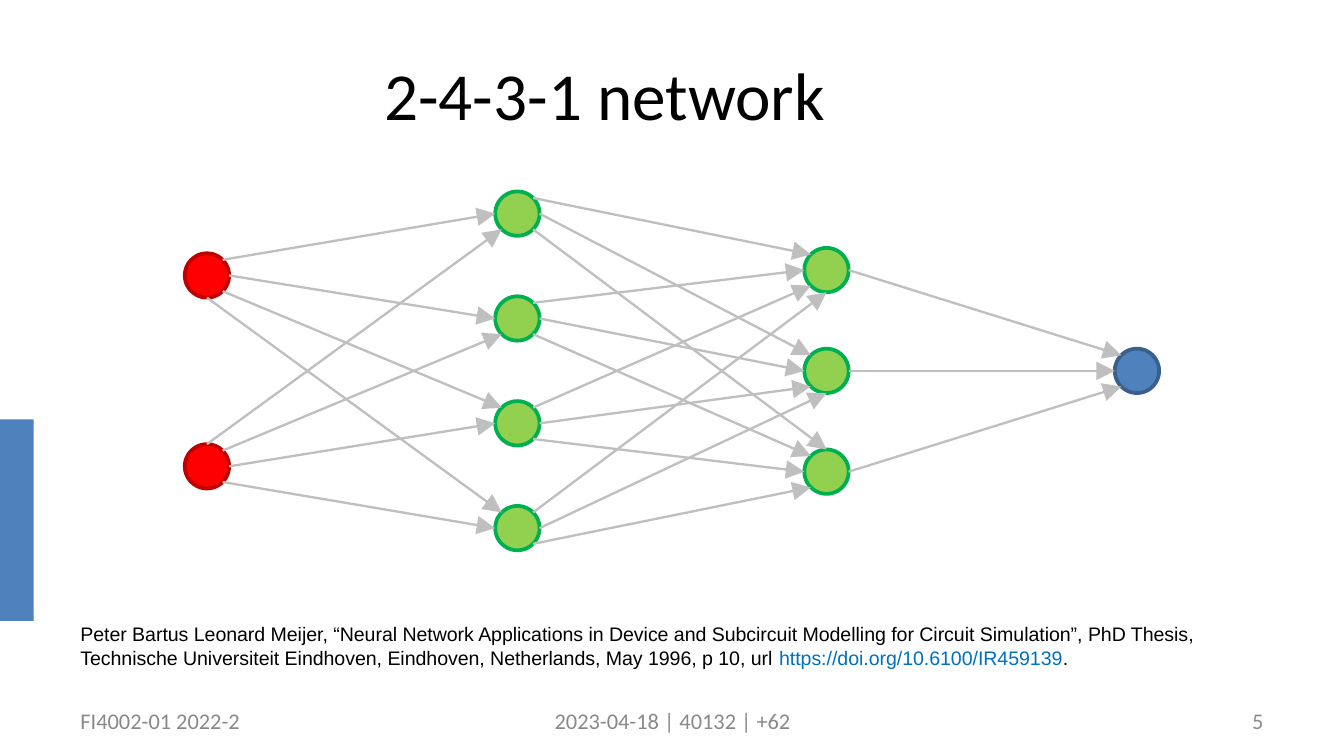
from dataclasses import dataclass
from math import sqrt

from lxml.etree import SubElement
from pptx import Presentation
from pptx.dml.color import RGBColor
from pptx.enum.shapes import MSO_CONNECTOR, MSO_SHAPE
from pptx.enum.text import MSO_ANCHOR, PP_ALIGN
from pptx.oxml.ns import qn
from pptx.util import Inches, Pt


@dataclass(frozen=True)
class Theme:
    heading_font: str = "Calibri"
    body_font: str = "Arial"
    title_size: float = 36
    footer_size: float = 12
    citation_size: float = 10.5
    text: str = "000000"
    footer: str = "898989"
    page: str = "8C8C8C"
    link: str = "0070C0"
    accent: str = "4F81BD"
    accent_line: str = "3A5F8C"
    input: str = "FF0000"
    input_line: str = "C00000"
    hidden: str = "92D050"
    hidden_line: str = "00B050"
    edge: str = "BFBFBF"
    node_width: float = 2
    edge_width: float = 1.25


@dataclass(frozen=True)
class Layer:
    x: float      # centre of the column
    count: int
    pitch: float  # distance between node centres
    fill: str
    line: str


@dataclass(frozen=True)
class Footer:
    text: str
    left: float
    width: float
    align: PP_ALIGN
    color: str


THEME = Theme()
SLIDE_WIDTH = 10
SLIDE_HEIGHT = SLIDE_WIDTH * 9 / 16
DIAMETER = 0.33
CENTER_Y = 2.76

LAYERS = [
    Layer(1.54, 2, 1.42, THEME.input, THEME.input_line),
    Layer(3.85, 4, 0.78, THEME.hidden, THEME.hidden_line),
    Layer(6.15, 3, 0.75, THEME.hidden, THEME.hidden_line),
    Layer(8.46, 1, 0, THEME.accent, THEME.accent_line),
]

# Compass ports on a node, as unit offsets from its centre
DIAG = sqrt(0.5)
PORTS = {
    "N": (0, -1), "S": (0, 1), "E": (1, 0), "W": (-1, 0),
    "NE": (DIAG, -DIAG), "SE": (DIAG, DIAG),
    "NW": (-DIAG, -DIAG), "SW": (-DIAG, DIAG),
}

# One table per pair of layers: row = source node, entry = target node
EDGES = [
    ["NE-W E-W SE-NW S-NW", "N-SW NE-SW E-W SE-W"],
    ["NE-NW E-NW SE-N", "NE-W E-W SE-NW", "NE-SW E-SW SE-W", "NE-S E-S SE-SW"],
    ["E-NW", "E-W", "E-SW"],
]

FOOTERS = [
    Footer("FI4002-01 2022-2", 0.5, 2.58, PP_ALIGN.LEFT, THEME.footer),
    Footer("2023-04-18 | 40132 | +62", 3.42, 3.17, PP_ALIGN.CENTER, THEME.footer),
    Footer("5", 7.17, 2.33, PP_ALIGN.RIGHT, THEME.page),
]

CITATION = [
    ("Peter Bartus Leonard Meijer, “Neural Network Applications in Device and "
     "Subcircuit Modelling for Circuit Simulation”, PhD Thesis, Technische "
     "Universiteit Eindhoven, Eindhoven, Netherlands, May 1996, p 10, url ", THEME.text),
    ("https://doi.org/10.6100/IR459139", THEME.link),
    (".", THEME.text),
]


def write(tf, runs: list[tuple[str, str]], *, font: str, size: float,
          align=PP_ALIGN.LEFT, anchor=MSO_ANCHOR.MIDDLE) -> None:
    """Fill a text frame with one paragraph of (text, colour) runs."""
    tf.word_wrap = True
    tf.vertical_anchor = anchor
    p = tf.paragraphs[0]
    p.alignment = align
    for text, color in runs:
        r = p.add_run()
        r.text = text
        r.font.name = font
        r.font.size = Pt(size)
        r.font.color.rgb = RGBColor.from_string(color)


def add_text_box(shapes, left: float, top: float, width: float, height: float,
                 runs: list[tuple[str, str]], **fmt) -> None:
    sp = shapes.add_textbox(Inches(left), Inches(top), Inches(width), Inches(height))
    write(sp.text_frame, runs, **fmt)


def add_filled(shapes, kind, left: float, top: float, width: float, height: float,
               fill: str, line: str | None = None) -> None:
    sp = shapes.add_shape(kind, Inches(left), Inches(top), Inches(width), Inches(height))
    sp.shadow.inherit = False
    sp.fill.solid()
    sp.fill.fore_color.rgb = RGBColor.from_string(fill)
    if line is None:
        sp.line.fill.background()
    else:
        sp.line.color.rgb = RGBColor.from_string(line)
        sp.line.width = Pt(THEME.node_width)


def node_center(layer: Layer, index: int) -> tuple[float, float]:
    return layer.x, CENTER_Y + (index - (layer.count - 1) / 2) * layer.pitch


def port_point(layer: Layer, index: int, port: str) -> tuple[float, float]:
    x, y = node_center(layer, index)
    dx, dy = PORTS[port]
    return x + dx * DIAMETER / 2, y + dy * DIAMETER / 2


def add_arrow(shapes, start: tuple[float, float], end: tuple[float, float]) -> None:
    cxn = shapes.add_connector(MSO_CONNECTOR.STRAIGHT,
                               *(Inches(v) for v in (*start, *end)))
    cxn.line.color.rgb = RGBColor.from_string(THEME.edge)
    cxn.line.width = Pt(THEME.edge_width)
    SubElement(cxn.line._get_or_add_ln(), qn("a:tailEnd"),
               type="triangle", w="lg", len="lg")
    SubElement(cxn._element.spPr, qn("a:effectLst"))


def add_network(shapes) -> None:
    # Nodes
    for layer in LAYERS:
        for i in range(layer.count):
            x, y = node_center(layer, i)
            add_filled(shapes, MSO_SHAPE.OVAL, x - DIAMETER / 2, y - DIAMETER / 2,
                       DIAMETER, DIAMETER, layer.fill, layer.line)
    # Edges between neighbouring layers
    for source, target, rows in zip(LAYERS, LAYERS[1:], EDGES):
        for i, row in enumerate(rows):
            for j, ports in enumerate(row.split()):
                out_port, in_port = ports.split("-")
                add_arrow(shapes, port_point(source, i, out_port),
                          port_point(target, j, in_port))


def main() -> None:
    prs = Presentation()
    prs.slide_width, prs.slide_height = Inches(SLIDE_WIDTH), Inches(SLIDE_HEIGHT)
    s = prs.slides.add_slide(prs.slide_layouts[5])

    # Side bar
    add_filled(s.shapes, MSO_SHAPE.RECTANGLE, 0, 3.12, 0.25, 1.5, THEME.accent)

    # Footer line
    for f in FOOTERS:
        add_text_box(s.shapes, f.left, 5.21, f.width, 0.3, [(f.text, f.color)],
                     font=THEME.heading_font, size=THEME.footer_size, align=f.align)

    # Title
    title = s.shapes.title
    title.left, title.top = Inches(0), Inches(0.23)
    title.width, title.height = Inches(9), Inches(0.94)
    write(title.text_frame, [("2-4-3-1 network", THEME.text)],
          font=THEME.heading_font, size=THEME.title_size, align=PP_ALIGN.CENTER)

    # Network diagram
    add_network(s.shapes.add_group_shape().shapes)

    # Citation
    add_text_box(s.shapes, 0.5, 4.58, 9, 0.45, CITATION, font=THEME.body_font,
                 size=THEME.citation_size, anchor=MSO_ANCHOR.TOP)

    prs.save("out.pptx")


if __name__ == "__main__":
    main()
